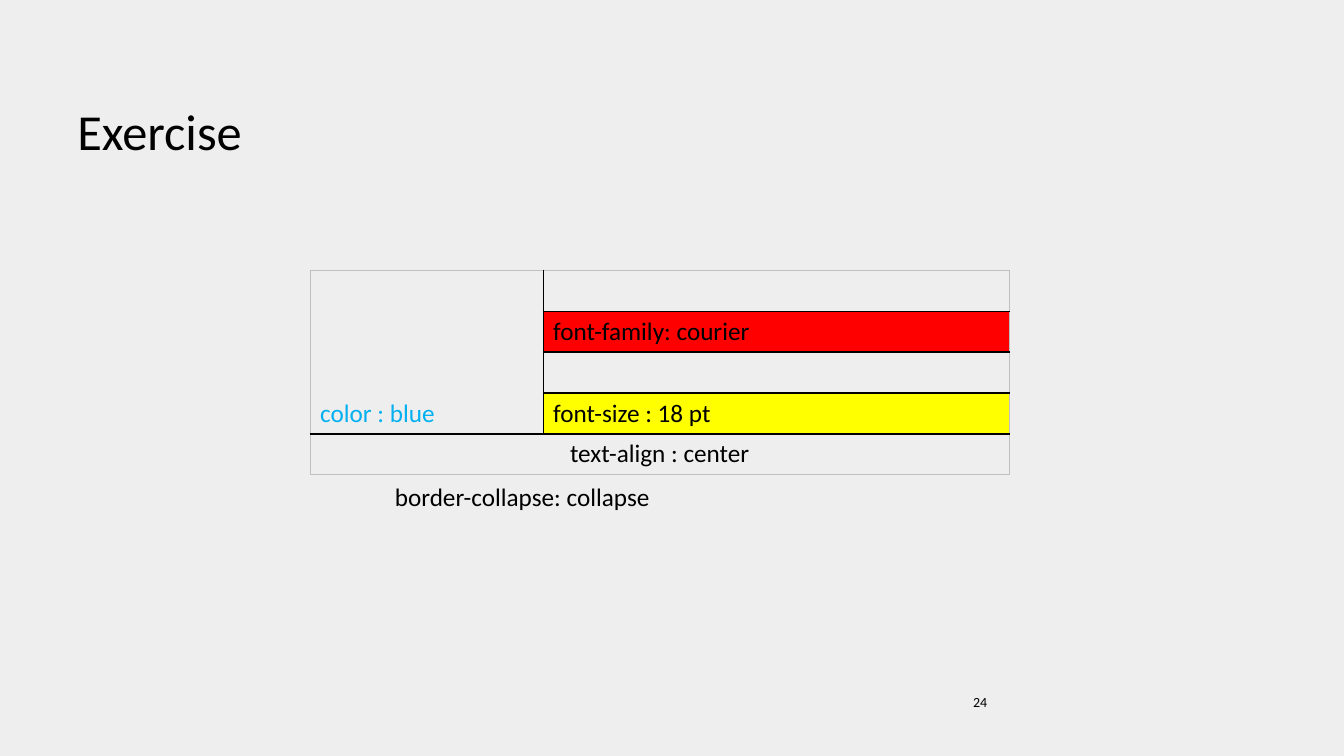
import pptx
import pptx.dml.color
import pptx.enum.text
import pptx.oxml
import pptx.oxml.ns
import pptx.util

Pt = pptx.util.Pt
RGB = pptx.dml.color.RGBColor
ALIGN = pptx.enum.text.PP_ALIGN
ANCHOR = pptx.enum.text.MSO_ANCHOR

PAPER = RGB(0xEE, 0xEE, 0xEE)
BLACK = RGB(0, 0, 0)
GRAY = RGB(0xBF, 0xBF, 0xBF)
BLUE = RGB(0x00, 0xB0, 0xF0)
RED = RGB(0xFF, 0, 0)
YELLOW = RGB(0xFF, 0xFF, 0)
ROWS = 5
LAST = ROWS - 1


def write(frame, text, size=18, color=BLACK, align=ALIGN.LEFT, anchor=ANCHOR.TOP, wrap=True):
    """Put formatted text in a text frame."""
    frame.word_wrap = wrap
    frame.vertical_anchor = anchor
    para = frame.paragraphs[0]
    para.alignment = align
    run = para.add_run()
    run.text = text
    run.font.name = "Calibri"
    run.font.size = Pt(size)
    run.font.color.rgb = color


def place(shape, box):
    """Move a shape to a box in points."""
    shape.left, shape.top, shape.width, shape.height = map(Pt, box)


def head(slide, box):
    """Fill the slide title."""
    title = slide.shapes.title
    place(title, box)
    write(title.text_frame, "Exercise", size=36, anchor=ANCHOR.BOTTOM)


def label(slide, box, text, **style):
    """Add a text box."""
    shape = slide.shapes.add_textbox(*map(Pt, box))
    write(shape.text_frame, text, **style)


def edge(cell, sides):
    """Draw the borders of a cell from (side, color, width) items."""
    props = cell._tc.get_or_add_tcPr()
    for spot, (side, color, width) in enumerate(sides):
        line = pptx.oxml.parse_xml(
            f'<a:ln{side} {pptx.oxml.ns.nsdecls("a")} w="{Pt(width)}">'
            f'<a:solidFill><a:srgbClr val="{color}"/></a:solidFill></a:ln{side}>')
        props.insert(spot, line)


def border(cell, row, col):
    """Give a cell gray outer and black inner borders."""
    left = GRAY if col == 0 or row == LAST else BLACK
    right = GRAY if col == 1 or row == LAST else BLACK
    top = GRAY if row == 0 or (col == 0 and row < LAST) else BLACK
    low = GRAY if row == LAST else BLACK
    heavy = 1.5 if row == LAST - 1 or (col == 0 and row < LAST) else 1
    edge(cell, [("L", left, 1), ("R", right, 1),
                ("T", top, 1.5 if row == LAST else 1), ("B", low, heavy)])


def grid(slide, box):
    """Build the exercise table."""
    table = slide.shapes.add_table(ROWS, 2, *map(Pt, box)).table
    table.first_row = table.horz_banding = False
    width, height = box[2:]
    for col, share in enumerate((1, 2)):
        table.columns[col].width = Pt(width * share / 3)
    for row in table.rows:
        row.height = Pt(height / ROWS)
    table.cell(0, 0).merge(table.cell(LAST - 1, 0))
    table.cell(LAST, 0).merge(table.cell(LAST, 1))
    fills = {(1, 1): RED, (3, 1): YELLOW}
    for row in range(ROWS):
        for col in range(2):
            cell = table.cell(row, col)
            if (row, col) in fills:
                cell.fill.solid()
                cell.fill.fore_color.rgb = fills[row, col]
            else:
                cell.fill.background()
            border(cell, row, col)
    words = [
        (0, 0, "color : blue", {"color": BLUE}),
        (1, 1, "font-family: courier", {}),
        (3, 1, "font-size : 18 pt", {}),
        (LAST, 0, "text-align : center", {"align": ALIGN.CENTER}),
    ]
    for row, col, text, style in words:
        write(table.cell(row, col).text_frame, text, **style)
    table.cell(0, 0).vertical_anchor = ANCHOR.BOTTOM


def main():
    """Build and save the slide."""
    deck = pptx.Presentation()
    deck.slide_width, deck.slide_height = Pt(960), Pt(540)
    slide = deck.slides.add_slide(deck.slide_layouts[5])
    slide.background.fill.solid()
    slide.background.fill.fore_color.rgb = PAPER
    head(slide, (48, 28, 864, 90))
    label(slide, (688, 492, 224, 37), "24", size=10)
    grid(slide, (221.5, 193, 499.5, 146.25))
    label(slide, (275, 340.5, 205, 29), "border-collapse: collapse", wrap=False)
    deck.save("out.pptx")


if __name__ == "__main__":
    main()
